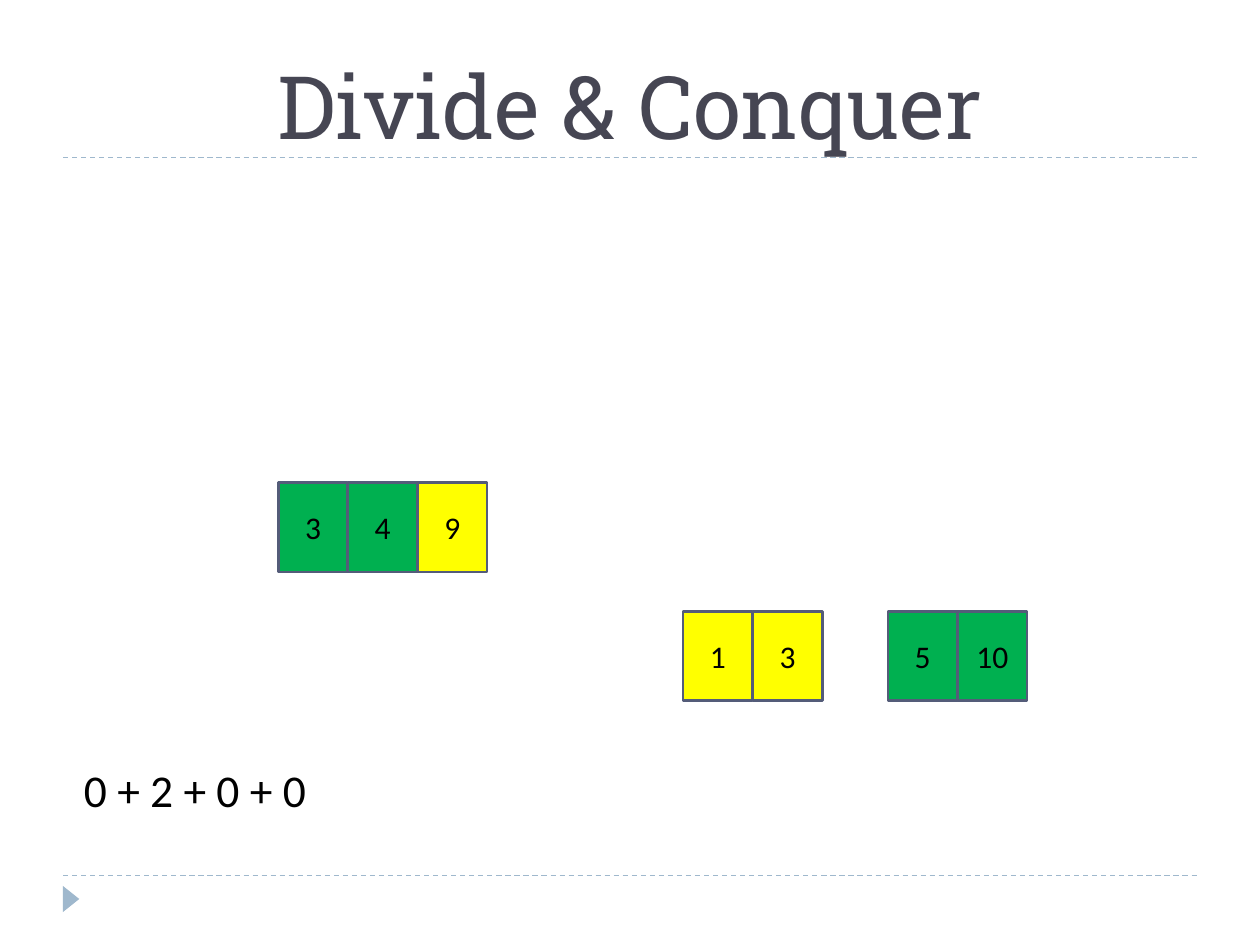
from dataclasses import dataclass

from lxml import etree
from pptx import Presentation
from pptx.dml.color import RGBColor
from pptx.enum import dml, shapes, text
from pptx.oxml import ns
from pptx.util import Pt


@dataclass
class Theme:
    ink: str = "000000"
    title: str = "464653"
    rule: str = "9FB8CD"
    edge: str = "545C79"
    green: str = "00B050"
    yellow: str = "FFFF00"
    head: str = "Roboto Slab"
    font: str = "Calibri"
    big: int = 50
    mid: int = 26
    small: int = 18


def assign(item, values):
    for name, value in values.items():
        setattr(item, name, value)


class Deck:
    def __init__(self, theme):
        self.theme = theme
        self.prs = Presentation()
        assign(self.prs, {"slide_width": Pt(720), "slide_height": Pt(540)})
        self.slide = self.prs.slides.add_slide(self.prs.slide_layouts[1])

    def label(self, shape, words, size, font, color, align, anchor):
        frame = shape.text_frame
        frame.text = words
        assign(frame, {
            "margin_left": 0, "margin_right": 0,
            "margin_top": 0, "margin_bottom": 0, "word_wrap": True,
            "auto_size": text.MSO_AUTO_SIZE.NONE, "vertical_anchor": anchor,
        })
        para = frame.paragraphs[0]
        assign(para, {"alignment": align, "space_before": Pt(0)})
        run = para.runs[0]
        assign(run.font, {"size": Pt(size), "name": font, "bold": False})
        run.font.color.rgb = RGBColor.from_string(color)
        return para

    def place(self, shape, x, y, w, h):
        assign(shape, {"left": Pt(x), "top": Pt(y),
                       "width": Pt(w), "height": Pt(h)})

    def title(self, words, *box):
        t, shape = self.theme, self.slide.shapes.title
        self.place(shape, *box)
        self.label(shape, words, t.big, t.head, t.title,
                   text.PP_ALIGN.CENTER, text.MSO_ANCHOR.BOTTOM)

    def body(self, words, *box):
        t, shape = self.theme, self.slide.placeholders[1]
        self.place(shape, *box)
        para = self.label(shape, words, t.mid, t.font, t.ink,
                          text.PP_ALIGN.LEFT, text.MSO_ANCHOR.TOP)
        # Plain line: no bullet and no hanging indent
        props = para._p.get_or_add_pPr()
        props.set("marL", "0")
        props.set("indent", "0")
        etree.SubElement(props, ns.qn("a:buNone"))

    def rule(self, x, y, w):
        line = self.slide.shapes.add_connector(
            shapes.MSO_CONNECTOR.STRAIGHT, Pt(x), Pt(y), Pt(x + w), Pt(y))
        assign(line.line, {"width": Pt(0.75),
                           "dash_style": dml.MSO_LINE.DASH})
        line.line.color.rgb = RGBColor.from_string(self.theme.rule)
        etree.SubElement(line._element.spPr, ns.qn("a:effectLst"))

    def shape(self, kind, fill, *box):
        item = self.slide.shapes.add_shape(kind, *map(Pt, box))
        item.shadow.inherit = False
        item.fill.solid()
        item.fill.fore_color.rgb = RGBColor.from_string(fill)
        return item

    def marker(self, *box):
        item = self.shape(shapes.MSO_SHAPE.ISOSCELES_TRIANGLE,
                          self.theme.rule, *box)
        item.line.fill.background()
        item.rotation = 90

    def cell(self, words, fill, *box):
        t = self.theme
        item = self.shape(shapes.MSO_SHAPE.RECTANGLE, fill, *box)
        item.line.width = Pt(1.5)
        item.line.color.rgb = RGBColor.from_string(t.edge)
        self.label(item, words, t.small, t.font, t.ink,
                   text.PP_ALIGN.CENTER, text.MSO_ANCHOR.MIDDLE)

    def row(self, x, y, cells):
        wide, high = 39.8, 51
        for i, (words, fill) in enumerate(cells):
            self.cell(words, fill, x + i * wide, y, wide, high)


def main():
    t = Theme()
    deck = Deck(t)

    # Frame: rules and corner marker
    for y in (500.4, 90):
        deck.rule(36, y, 648)
    deck.marker(33.1, 509, 15, 9.4)

    # Title and count of inversions
    deck.title("Divide & Conquer", 36, 12, 648, 78)
    deck.body("0 + 2 + 0 + 0", 48, 435.5, 636, 49)

    # Sorted parts of the list
    deck.row(159, 275.8, [("3", t.green), ("4", t.green), ("9", t.yellow)])
    deck.row(390.4, 349.4, [("1", t.yellow), ("3", t.yellow)])
    deck.row(507.4, 349.4, [("5", t.green), ("10", t.green)])

    deck.prs.save("out.pptx")


if __name__ == "__main__":
    main()
